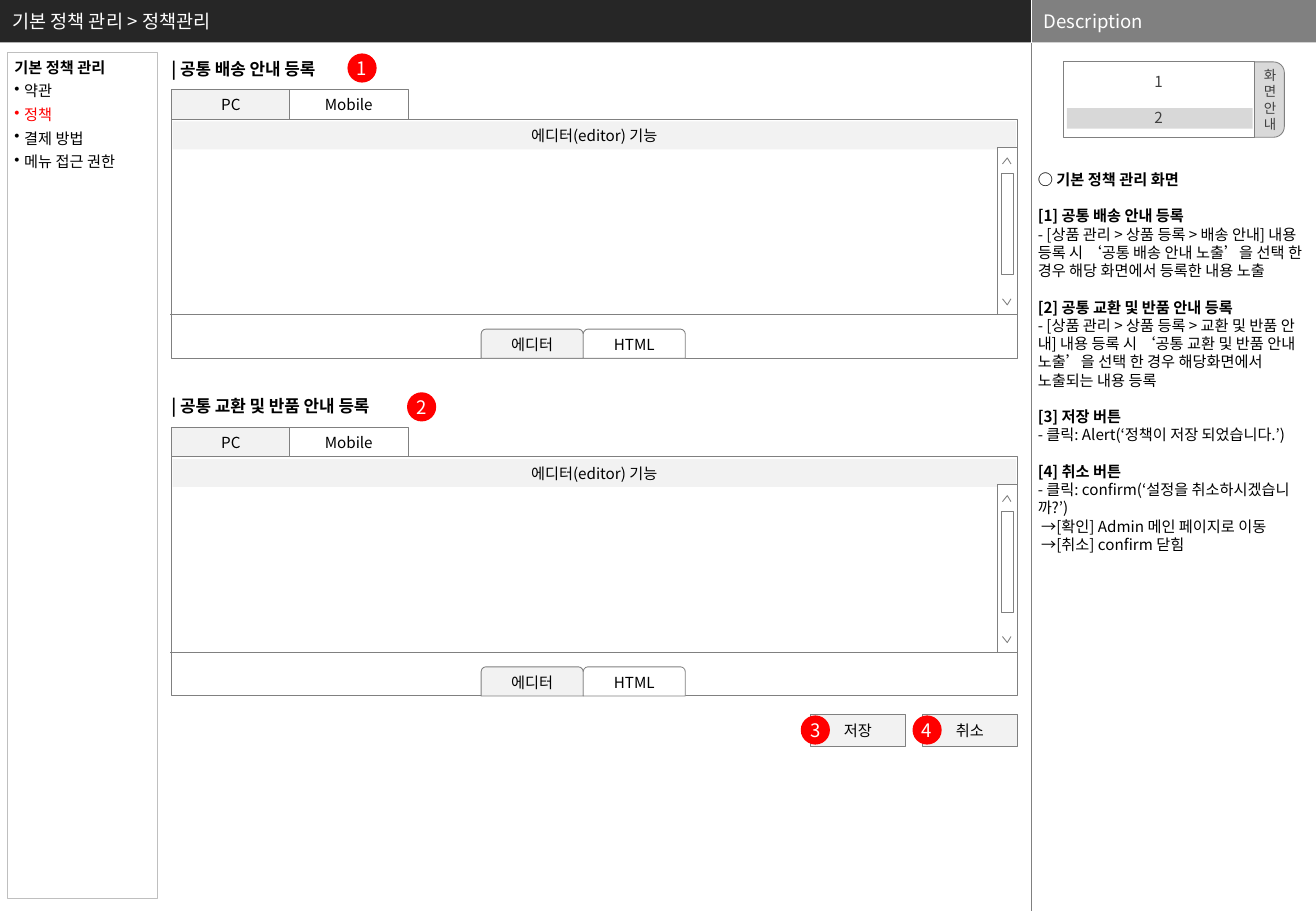
from lxml.etree import SubElement
from pptx import Presentation
from pptx.dml.color import RGBColor
from pptx.enum.shapes import MSO_CONNECTOR, MSO_SHAPE as Kind
from pptx.enum.text import MSO_ANCHOR as Anchor, MSO_AUTO_SIZE, PP_ALIGN as Align
from pptx.oxml.ns import qn
from pptx.util import Inches, Pt

FONT = "Noto Sans CJK KR"
COLORS = {
    "white": "FFFFFF", "black": "000000", "header": "262626", "gray": "808080",
    "pale": "F2F2F2", "border": "BFBFBF", "red": "FF0000", "ink": "404040", "tab": "D9D9D9",
}
BLANK_LINE = Pt(10.8)


def write(paragraph, text, size=9, color="black", bold=False, align=Align.LEFT):
    paragraph.alignment = align
    run = paragraph.add_run()
    run.text = text
    run.font.size = Pt(size)
    run.font.bold = bold
    run.font.color.rgb = RGBColor.from_string(COLORS[color])
    run.font.name = FONT
    SubElement(run.font._element, qn("a:ea"), typeface=FONT)


def draw(kind, place, fill=None, line=None, text="", size=9, color="black", inset=0.04, weight=0.5):
    shape = slide.shapes.add_shape(kind, *map(Inches, place))
    shape.shadow.inherit = False
    if fill:
        shape.fill.solid()
        shape.fill.fore_color.rgb = RGBColor.from_string(COLORS[fill])
    else:
        shape.fill.background()
    if line:
        shape.line.color.rgb = RGBColor.from_string(COLORS[line])
        shape.line.width = Pt(weight)
    else:
        shape.line.fill.background()
    frame = shape.text_frame
    frame.word_wrap = False
    frame.vertical_anchor = Anchor.MIDDLE
    frame.margin_left = frame.margin_right = Inches(inset)
    frame.margin_top = frame.margin_bottom = 0
    if text:
        write(frame.paragraphs[0], text, size, color, align=Align.CENTER)
    return shape


deck = Presentation()
deck.slide_width, deck.slide_height = Inches(10.83), Inches(7.5)
slide = deck.slides.add_slide(deck.slide_layouts[1])
breadcrumb, description = slide.placeholders

draw(Kind.RECTANGLE, (0, 0, 8.49, 0.35), "header")
description_bar = draw(Kind.RECTANGLE, (8.49, 0, 2.34, 0.35), "gray", inset=0.1)
write(description_bar.text_frame.paragraphs[0], "Description", 11, "white")

breadcrumb.element.getparent().append(breadcrumb.element)
breadcrumb.left, breadcrumb.top = 0, 0
breadcrumb.width, breadcrumb.height = Inches(8.25), Inches(0.35)
breadcrumb.text_frame.auto_size = MSO_AUTO_SIZE.NONE
breadcrumb.text_frame.vertical_anchor = Anchor.MIDDLE
write(breadcrumb.text_frame.paragraphs[0], "기본 정책 관리 > 정책관리", 11, "white")

description.left, description.top = Inches(8.5), Inches(0.35)
description.width, description.height = Inches(2.34), Inches(7.15)
notes = description.text_frame
notes.auto_size = MSO_AUTO_SIZE.NONE
notes.word_wrap = True
notes.margin_left = notes.margin_right = Inches(0.04)
notes.margin_top, notes.margin_bottom = Inches(1.05), 0
policy_notes = [
    ("○ 기본 정책 관리 화면", []),
    ("[1] 공통 배송 안내 등록",
     ["- [상품 관리 > 상품 등록 > 배송 안내] 내용 등록 시 ‘공통 배송 안내 노출’을 선택 한 경우 해당 화면에서 등록한 내용 노출"]),
    ("[2] 공통 교환 및 반품 안내 등록",
     ["- [상품 관리 > 상품 등록 > 교환 및 반품 안내] 내용 등록 시 ‘공통 교환 및 반품 안내 노출’을 선택 한 경우 해당화면에서 노출되는 내용 등록"]),
    ("[3] 저장 버튼", ["- 클릭: Alert(‘정책이 저장 되었습니다.’)"]),
    ("[4] 취소 버튼",
     ["- 클릭: confirm(‘설정을 취소하시겠습니까?’)", " →[확인] Admin 메인 페이지로 이동", " →[취소] confirm 닫힘"]),
]
for number, (heading, details) in enumerate(policy_notes):
    for position, sentence in enumerate([heading] + details):
        first = number == position == 0
        paragraph = notes.paragraphs[0] if first else notes.add_paragraph()
        paragraph.space_before = BLANK_LINE if number and position == 0 else Pt(0)
        write(paragraph, sentence, bold=position == 0)
        properties = paragraph._p.get_or_add_pPr()
        properties.set("marL", "0")
        properties.set("indent", "0")
        SubElement(properties, qn("a:buNone"))

menu = draw(Kind.RECTANGLE, (0.06, 0.43, 1.24, 6.97), None, "border", inset=0.06, weight=0.75).text_frame
menu.vertical_anchor = Anchor.TOP
menu.margin_top = menu.margin_bottom = Inches(0.05)
menu.margin_right = 0
write(menu.paragraphs[0], "기본 정책 관리", bold=True)
for entry in ["약관", "정책", "결제 방법", "메뉴 접근 권한"]:
    paragraph = menu.add_paragraph()
    paragraph.line_spacing = Pt(14)
    write(paragraph, entry, color="red" if entry == "정책" else "black")
    properties = paragraph._p.get_or_add_pPr()
    properties.set("marL", str(Inches(0.08)))
    properties.set("indent", str(-Inches(0.08)))
    SubElement(properties, qn("a:buChar"), char="•")

dividers = [
    (8.49, 0.34, 8.49, 7.5, "gray", 0.25),
    (8.49, 0, 8.49, 0.35, "white", 0.25),
]
editors = [
    (0, "| 공통 배송 안내 등록", 1.36),
    (2.78, "| 공통 교환 및 반품 안내 등록", 1.88),
]
for shift, heading, width in editors:
    label = slide.shapes.add_textbox(Inches(1.41), Inches(0.48 + shift), Inches(width), Inches(0.17)).text_frame
    label.word_wrap = False
    label.margin_left = label.margin_right = label.margin_top = label.margin_bottom = 0
    write(label.paragraphs[0], heading, 10, bold=True)

    draw(Kind.RECTANGLE, (1.41, 0.98 + shift, 6.96, 1.97), "white", "gray")
    for column, (device, mode, fill, mode_left) in enumerate(
            [("PC", "에디터", "pale", 3.96), ("Mobile", "HTML", "white", 4.8)]):
        draw(Kind.RECTANGLE, (1.41 + 0.97 * column, 0.74 + shift, 0.98, 0.24), fill, "gray", device)
        draw(Kind.ROUND_2_SAME_RECTANGLE, (mode_left, 2.71 + shift, 0.84, 0.24), fill, "gray", mode)
    draw(Kind.RECTANGLE, (1.42, 1 + shift, 6.94, 0.23), "pale", None, "에디터(editor) 기능")
    dividers.append((1.4, 2.59 + shift, 8.37, 2.59 + shift, "gray", 0.5))

    draw(Kind.RECTANGLE, (8.21, 1.21 + shift, 0.16, 1.38), "white", "gray")
    draw(Kind.RECTANGLE, (8.24, 1.43 + shift, 0.1, 0.83), "white", "gray")
    for base, tip in [(1.35, 1.3), (2.46, 2.51)]:
        outline = slide.shapes.build_freeform(Inches(8.25), Inches(base + shift))
        outline.add_line_segments(
            [(Inches(8.29), Inches(tip + shift)), (Inches(8.32), Inches(base + shift))], close=False)
        arrow = outline.convert_to_shape()
        arrow.shadow.inherit = False
        arrow.fill.solid()
        arrow.fill.fore_color.rgb = RGBColor.from_string(COLORS["white"])
        arrow.line.color.rgb = RGBColor.from_string(COLORS["gray"])
        arrow.line.width = Pt(0.5)

for x1, y1, x2, y2, color, weight in dividers:
    divider = slide.shapes.add_connector(MSO_CONNECTOR.STRAIGHT, *map(Inches, (x1, y1, x2, y2)))
    divider.line.color.rgb = RGBColor.from_string(COLORS[color])
    divider.line.width = Pt(weight)
    SubElement(divider._element.spPr, qn("a:effectLst"))

for action, left in [("저장", 6.67), ("취소", 7.59)]:
    draw(Kind.RECTANGLE, (left, 5.88, 0.78, 0.27), "pale", "gray", action)
for number, left, top in [("1", 2.86, 0.44), ("2", 3.35, 3.23), ("3", 6.59, 5.89), ("4", 7.51, 5.89)]:
    draw(Kind.OVAL, (left, top, 0.24, 0.24), "red", None, number, 11, "white", inset=0)

guide_tab = draw(Kind.ROUNDED_RECTANGLE, (10.11, 0.51, 0.46, 0.62), "tab", "gray")
guide_tab.adjustments[0] = 0.19
for index, syllable in enumerate("화면안내"):
    frame = guide_tab.text_frame
    paragraph = frame.add_paragraph() if index else frame.paragraphs[0]
    write(paragraph, syllable, 8, "ink", align=Align.RIGHT)
guide = draw(Kind.RECTANGLE, (8.75, 0.51, 1.57, 0.62), "white", "gray", "1", color="ink").text_frame
current = guide.add_paragraph()
current.space_before = BLANK_LINE
write(current, "2", color="ink", align=Align.CENTER)
highlight = draw(Kind.RECTANGLE, (8.78, 0.89, 1.53, 0.17), "ink")
tint = highlight.fill._xPr.find(qn("a:solidFill")).find(qn("a:srgbClr"))
SubElement(tint, qn("a:alpha"), val="20000")

deck.save("out.pptx")
